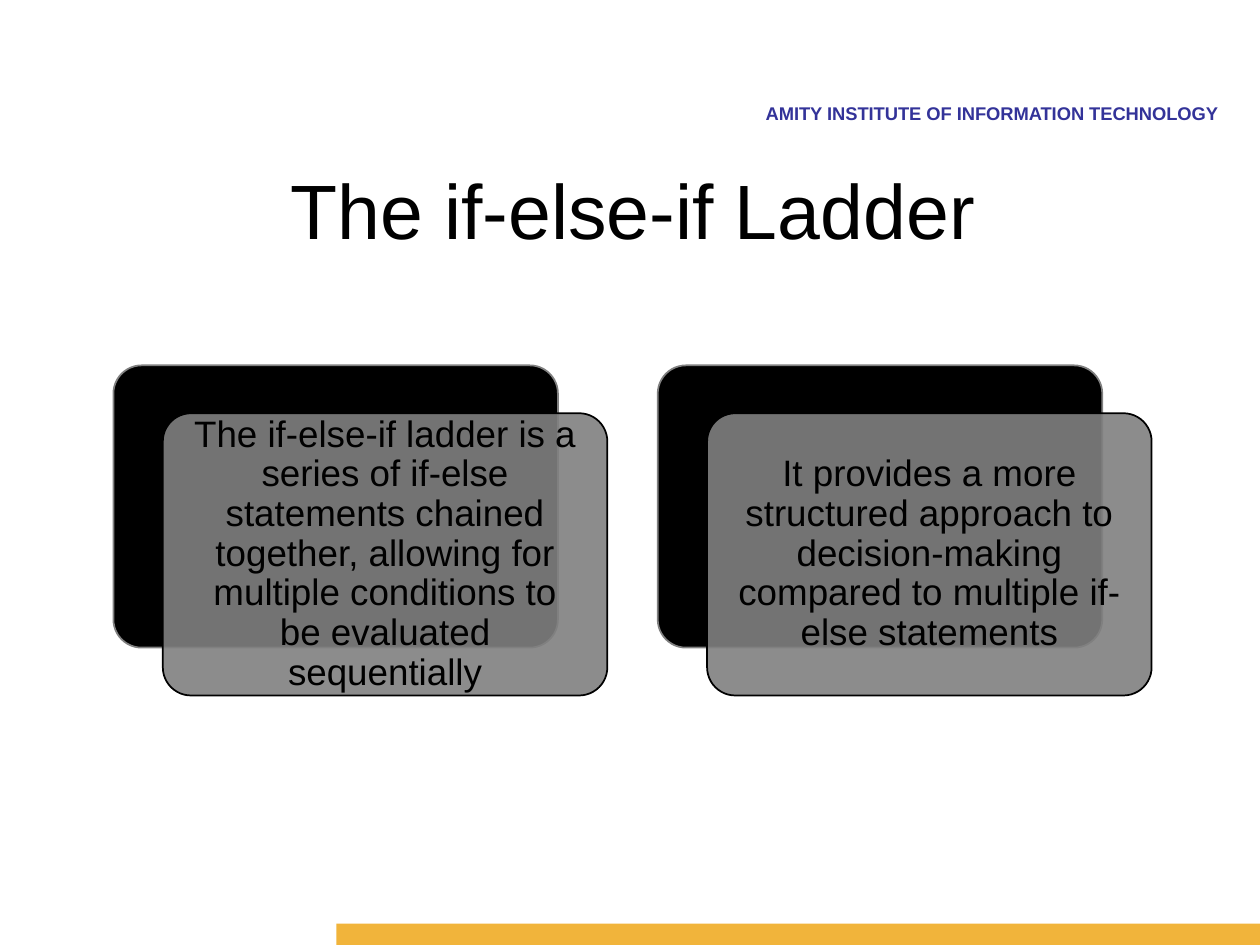
import pptx
import pptx.dml.color
import pptx.enum.shapes
import pptx.enum.text
import pptx.oxml.ns
import pptx.util
from lxml import etree

Inches, Pt = pptx.util.Inches, pptx.util.Pt
RGBColor = pptx.dml.color.RGBColor
Shapes = pptx.enum.shapes.MSO_SHAPE
Align = pptx.enum.text.PP_ALIGN
Anchor = pptx.enum.text.MSO_ANCHOR

BLACK = RGBColor(0x00, 0x00, 0x00)
GRAY = RGBColor(0x80, 0x80, 0x80)
NAVY = RGBColor(0x33, 0x33, 0x99)
GOLD = RGBColor(0xF1, 0xB4, 0x3B)

CARD_TEXTS = [
    "The if-else-if ladder is a series of if-else statements chained together, "
    "allowing for multiple conditions to be evaluated sequentially",
    "It provides a more structured approach to decision-making compared to "
    "multiple if-else statements",
]


def write_text(shape, text, size, color, alignment, bold=False):
    """Write one Arial paragraph into a shape and return the paragraph."""
    shape.text_frame.word_wrap = True
    paragraph = shape.text_frame.paragraphs[0]
    paragraph.text = text
    paragraph.alignment = alignment
    paragraph.font.name = "Arial"
    paragraph.font.size = Pt(size)
    paragraph.font.bold = bold
    paragraph.font.color.rgb = color
    return paragraph


def add_heading(slide, box, text, size, color, alignment, bold=False, top_inset=0.05):
    """Place a line of text at the top of a box."""
    shape = slide.shapes.add_textbox(*map(Inches, box))
    write_text(shape, text, size, color, alignment, bold)
    shape.text_frame.margin_top = Inches(top_inset)
    shape.text_frame.vertical_anchor = Anchor.TOP


def add_footer_bar(slide, box):
    """Place the plain gold bar."""
    bar = slide.shapes.add_shape(Shapes.RECTANGLE, *map(Inches, box))
    bar.shadow.inherit = False
    bar.fill.solid()
    bar.fill.fore_color.rgb = GOLD
    bar.line.fill.background()


def add_rounded_panel(group, box, fill, line):
    """Place a rounded rectangle with a thin outline and return it."""
    panel = group.shapes.add_shape(Shapes.ROUNDED_RECTANGLE, *map(Inches, box))
    panel.adjustments[0] = 0.1
    panel.shadow.inherit = False
    panel.fill.solid()
    panel.fill.fore_color.rgb = fill
    panel.line.color.rgb = line
    panel.line.width = Pt(1)
    return panel


def add_card(group, box, text):
    """Place a black panel with a translucent text panel stepped over it."""
    left, top, width, height = box
    panel_width, panel_height = 0.9 * width, 0.855 * height
    add_rounded_panel(group, (left, top, panel_width, panel_height), BLACK, GRAY)
    front_box = (left + width - panel_width, top + height - panel_height,
                 panel_width, panel_height)
    front = add_rounded_panel(group, front_box, GRAY, BLACK)
    color = front.fill._xPr.find(".//" + pptx.oxml.ns.qn("a:srgbClr"))
    etree.SubElement(color, pptx.oxml.ns.qn("a:alpha"), val="90000")
    paragraph = write_text(front, text, 21, BLACK, Align.CENTER)
    paragraph.line_spacing = 0.9
    frame = front.text_frame
    frame.vertical_anchor = Anchor.MIDDLE
    frame.margin_left = frame.margin_right = Inches(0.16)
    frame.margin_top = frame.margin_bottom = Inches(0.16)


def add_cards(slide, box, texts):
    """Place cards side by side with equal gaps."""
    left, top, width, height = box
    gap = 0.4
    card_width = (width - gap * (len(texts) - 1)) / len(texts)
    group = slide.shapes.add_group_shape()
    for column, text in enumerate(texts):
        card_left = left + column * (card_width + gap)
        add_card(group, (card_left, top, card_width, height), text)


def main():
    """Build and save the slide."""
    presentation = pptx.Presentation()
    presentation.slide_width = Inches(10)
    presentation.slide_height = Inches(7.5)
    slide = presentation.slides.add_slide(presentation.slide_layouts[6])
    add_heading(slide, (5.19, 0.76, 4.58, 0.33),
                "AMITY INSTITUTE OF INFORMATION TECHNOLOGY",
                10.5, NAVY, Align.RIGHT, bold=True)
    add_footer_bar(slide, (2.67, 7.33, 7.33, 0.17))
    add_heading(slide, (0.9, 1.17, 8.25, 1.19), "The if-else-if Ladder",
                44, BLACK, Align.CENTER, top_inset=0.12)
    add_cards(slide, (0.9, 2.9, 8.24, 2.62), CARD_TEXTS)
    presentation.save("out.pptx")


if __name__ == "__main__":
    main()
